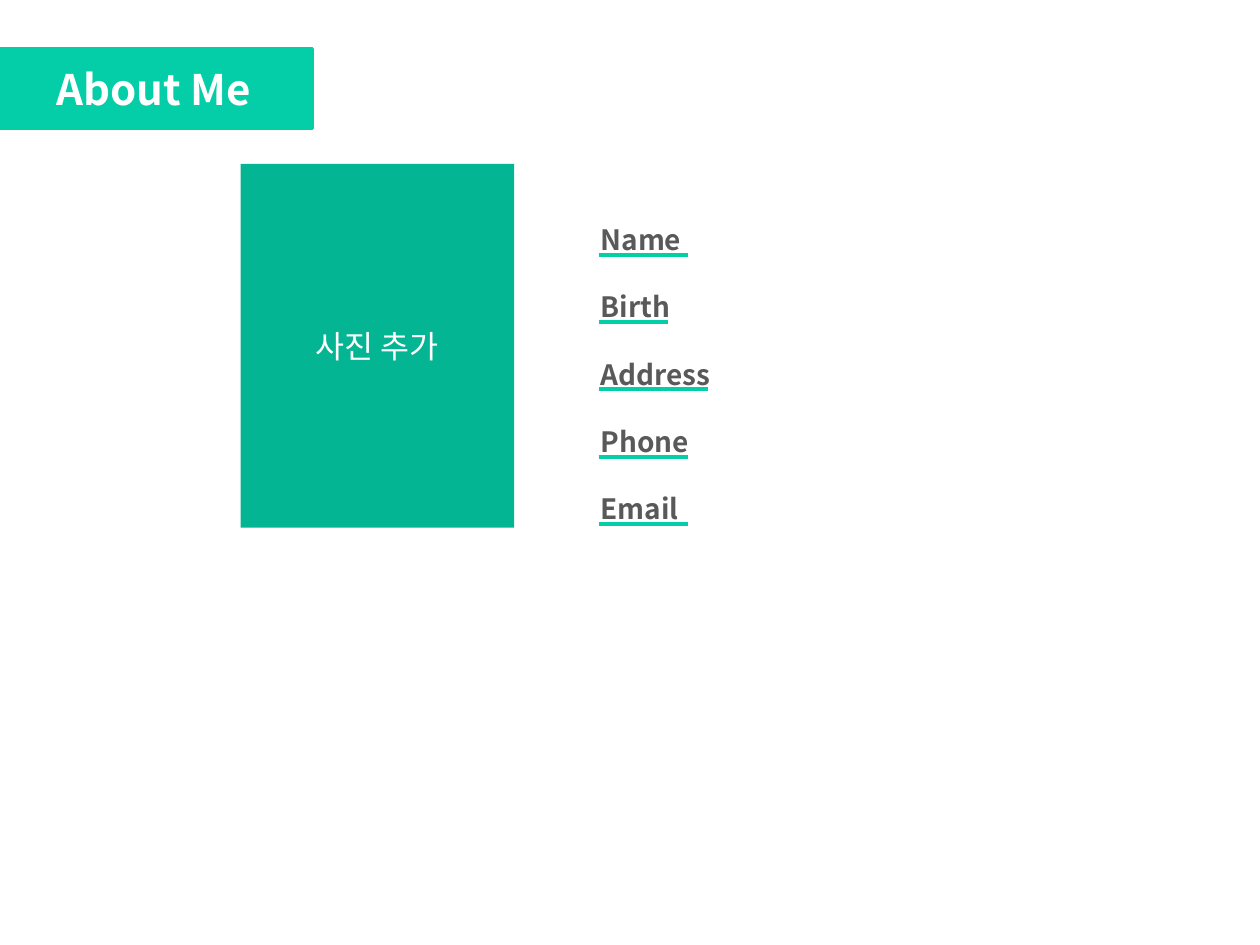
import pptx
import pptx.util
import pptx.dml.color
import pptx.enum.shapes
import pptx.enum.text
import pptx.oxml

Pt = pptx.util.Pt
ALIGN = pptx.enum.text.PP_ALIGN
FONT = "Noto Sans CJK KR"
COLORS = {"mint": "04CEA8", "green": "03B593", "gray": "595959", "white": "FFFFFF"}


def rgb(name):
    return pptx.dml.color.RGBColor.from_string(COLORS[name])


def add_run(p, text, size, color, bold=False):
    r = p.add_run()
    r.text = text
    r.font.name = FONT
    r.font.size = Pt(size)
    r.font.bold = bold
    r.font.color.rgb = rgb(color)
    # East Asian text needs its own typeface entry
    ea = pptx.oxml.parse_xml(
        '<a:ea xmlns:a="http://schemas.openxmlformats.org/drawingml/2006/main" '
        f'typeface="{FONT}"/>')
    r.font._element.find(pptx.oxml.ns.qn("a:latin")).addnext(ea)


def add_block(slide, box, fill):
    sp = slide.shapes.add_shape(
        pptx.enum.shapes.MSO_SHAPE.RECTANGLE, *(Pt(v) for v in box))
    sp.shadow.inherit = False
    sp.fill.solid()
    sp.fill.fore_color.rgb = rgb(fill)
    sp.line.fill.background()
    sp.text_frame.word_wrap = True
    sp.text_frame.vertical_anchor = pptx.enum.text.MSO_ANCHOR.MIDDLE
    return sp


def add_underline(slide, x, y, width):
    line = slide.shapes.add_connector(
        pptx.enum.shapes.MSO_CONNECTOR.STRAIGHT, Pt(x), Pt(y), Pt(x + width), Pt(y))
    line.line.color.rgb = rgb("mint")
    line.line.width = Pt(2.25)
    props = line._element.spPr
    props.append(props.makeelement(pptx.oxml.ns.qn("a:effectLst"), {}))


def add_title(slide, box):
    sp = add_block(slide, box, "mint")
    sp.line.color.rgb = rgb("mint")
    sp.line.width = Pt(2)
    tf = sp.text_frame
    tf.margin_left = Pt(32.4)
    p = tf.paragraphs[0]
    p.alignment = ALIGN.LEFT
    add_run(p, "About Me", 24, "white", bold=True)


def add_photo_area(slide, box):
    sp = add_block(slide, box, "green")
    p = sp.text_frame.paragraphs[0]
    p.alignment = ALIGN.CENTER
    add_run(p, "사진 추가", 18, "white")


def add_profile(slide, box, fields, pitch):
    left, top, width, height = box
    tb = slide.shapes.add_textbox(Pt(left), Pt(top), Pt(width), Pt(height))
    tf = tb.text_frame
    tf.word_wrap = True
    # Labels, one paragraph per field, each underlined
    for i, (label, line_width) in enumerate(fields):
        p = tf.paragraphs[0] if i == 0 else tf.add_paragraph()
        p.line_spacing = Pt(pitch / 2)
        p.space_after = Pt(pitch / 2)
        add_run(p, label, 16, "gray", bold=True)
        add_underline(slide, left + 5.8, top + 22 + i * pitch, line_width)


def main():
    prs = pptx.Presentation()
    prs.slide_width, prs.slide_height = Pt(720), Pt(540)
    slide = prs.slides.add_slide(prs.slide_layouts[6])

    fields = [("Name", 51), ("Birth", 39.5), ("Address", 62.5),
              ("Phone", 51), ("Email", 51)]
    add_profile(slide, (336.2, 123.5, 283.7, 201), fields, pitch=38.5)
    add_title(slide, (0, 28, 178.5, 45.4))
    add_photo_area(slide, (137.5, 93.6, 156.3, 208))

    prs.save("out.pptx")


if __name__ == "__main__":
    main()
